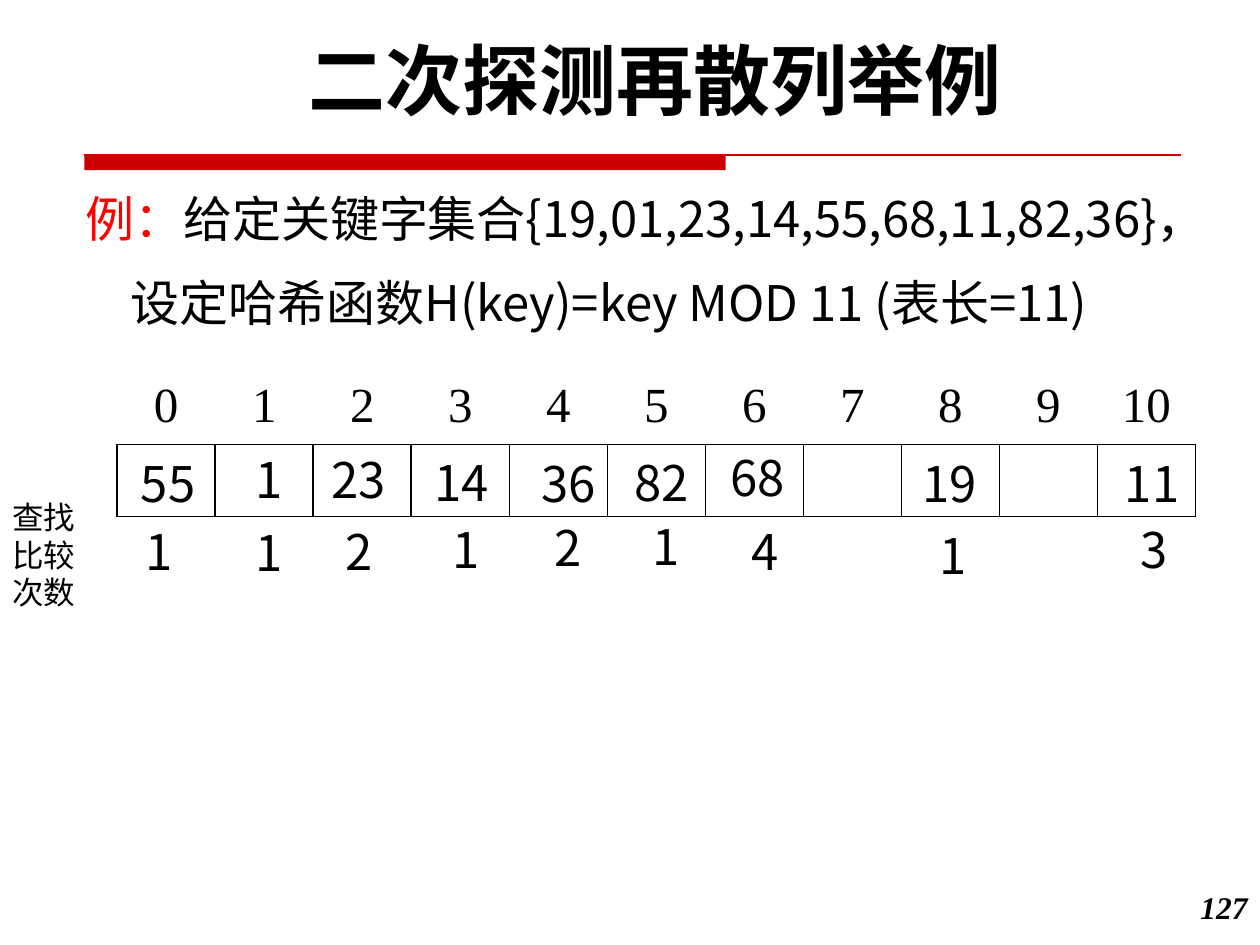
from lxml import etree
from pptx import Presentation
from pptx.dml.color import RGBColor
from pptx.enum.shapes import MSO_CONNECTOR, MSO_SHAPE
from pptx.enum.text import PP_ALIGN
from pptx.oxml.ns import qn
from pptx.util import Inches, Pt

LEFT, CENTER, RIGHT = PP_ALIGN.LEFT, PP_ALIGN.CENTER, PP_ALIGN.RIGHT
COLORS = {"text": "000000", "accent": "FF0000", "rule": "CC0000"}
CJK, TITLE, SERIF = "Noto Sans CJK SC", "Roboto", "Times New Roman"

SLOTS = 11
SLOT_WIDTH, ROW_HEIGHT = 0.778, 0.57

# (text, left, top) of each stored key and of its number of comparisons
KEYS = [
    ("55", 1.02, 3.52), ("1", 1.93, 3.49), ("23", 2.53, 3.49),
    ("14", 3.35, 3.51), ("36", 4.2, 3.52), ("82", 4.94, 3.51),
    ("68", 5.7, 3.47), ("19", 7.22, 3.52), ("11", 8.83, 3.52),
]
COMPARISONS = [
    ("1", 1.06, 4.06), ("1", 1.93, 4.07), ("2", 2.64, 4.06),
    ("1", 3.49, 4.04), ("2", 4.3, 4.03), ("1", 5.08, 4.02),
    ("4", 5.87, 4.06), ("1", 7.36, 4.09), ("3", 8.95, 4.04),
]


def color(name):
    return RGBColor.from_string(COLORS[name])


def set_font(font, size, name, bold=False, italic=False):
    font.size, font.bold, font.italic = Pt(size), bold, italic
    font.color.rgb = color("text")
    font.name = name


def add_text(page, lines, left, top, width, height, size, name=CJK,
             align=LEFT, bold=False, italic=False):
    """Add a text box; CJK text gets a tight fixed line pitch."""
    box = page.shapes.add_textbox(Inches(left), Inches(top),
                                  Inches(width), Inches(height))
    frame = box.text_frame
    frame.word_wrap = True
    for index, line in enumerate(lines):
        para = frame.paragraphs[0] if index == 0 else frame.add_paragraph()
        para.add_run().text = line
        para.alignment = align
        if index:
            para.space_before = Pt(size / 2)
        if name == CJK:
            para.line_spacing = Pt(size * 1.2)
            frame.margin_top = Inches(0.08)
        set_font(para.font, size, name, bold, italic)
    return frame


def add_title_rule(page):
    bar = page.shapes.add_shape(MSO_SHAPE.RECTANGLE, Inches(0.67), Inches(1.23),
                                Inches(5.09), Inches(0.12))
    bar.shadow.inherit = False
    bar.fill.solid()
    bar.fill.fore_color.rgb = color("rule")
    bar.line.fill.background()
    rule = page.shapes.add_connector(MSO_CONNECTOR.STRAIGHT, Inches(0.67),
                                     Inches(1.23), Inches(9.37), Inches(1.23))
    rule.line.color.rgb = color("rule")
    rule.line.width = Pt(0.75)
    etree.SubElement(rule._element.spPr, qn("a:effectLst"))


def add_problem(page):
    lines = ["例：", "设定哈希函数H(key)=key MOD 11 (表长=11)"]
    frame = add_text(page, lines, 0.58, 1.42, 9.58, 2.68, 28)
    first, second = frame.paragraphs
    first.runs[0].font.color.rgb = color("accent")
    first.add_run().text = "给定关键字集合{19,01,23,14,55,68,11,82,36}，"
    second._p.get_or_add_pPr().set("marL", str(Inches(0.36)))


def add_borders(cell, sides):
    properties = cell._tc.get_or_add_tcPr()
    for position, side in enumerate(sides):
        line = etree.Element(qn(f"a:ln{side}"), w=str(Pt(1)))
        fill = etree.SubElement(line, qn("a:solidFill"))
        etree.SubElement(fill, qn("a:srgbClr"), val=COLORS["text"])
        properties.insert(position, line)


def add_hash_table(page):
    """Draw the slot numbers above a row of empty bordered slots."""
    table = page.shapes.add_table(2, SLOTS, Inches(0.93), Inches(2.96),
                                  Inches(SLOTS * SLOT_WIDTH),
                                  Inches(2 * ROW_HEIGHT)).table
    table.first_row = table.horz_banding = False
    for row in table.rows:
        row.height = Inches(ROW_HEIGHT)
    for slot in range(SLOTS):
        table.columns[slot].width = Inches(SLOT_WIDTH)
        number, store = table.cell(0, slot), table.cell(1, slot)
        number.text = str(slot)
        para = number.text_frame.paragraphs[0]
        para.alignment = CENTER
        set_font(para.font, 28, SERIF)
        for cell, sides in ((number, "B"), (store, "LRTB")):
            cell.fill.background()
            add_borders(cell, sides)


def main():
    deck = Presentation()
    deck.slide_width, deck.slide_height = Inches(10), Inches(7.5)
    page = deck.slides.add_slide(deck.slide_layouts[6])
    add_title_rule(page)
    add_text(page, ["127"], 9.33, 7, 0.67, 0.5, 18, SERIF, RIGHT, True, True)
    add_problem(page)
    add_text(page, ["二次探测再散列举例"], 0.58, 0.21, 9.25, 0.84, 44, TITLE,
             CENTER, True)
    add_hash_table(page)
    add_text(page, ["查找比较次数"], 0, 3.87, 0.93, 1.01, 18)
    for text, left, top in KEYS + COMPARISONS:
        add_text(page, [text], left, top, 0.63, 0.57, 28)
    deck.save("out.pptx")


if __name__ == "__main__":
    main()
